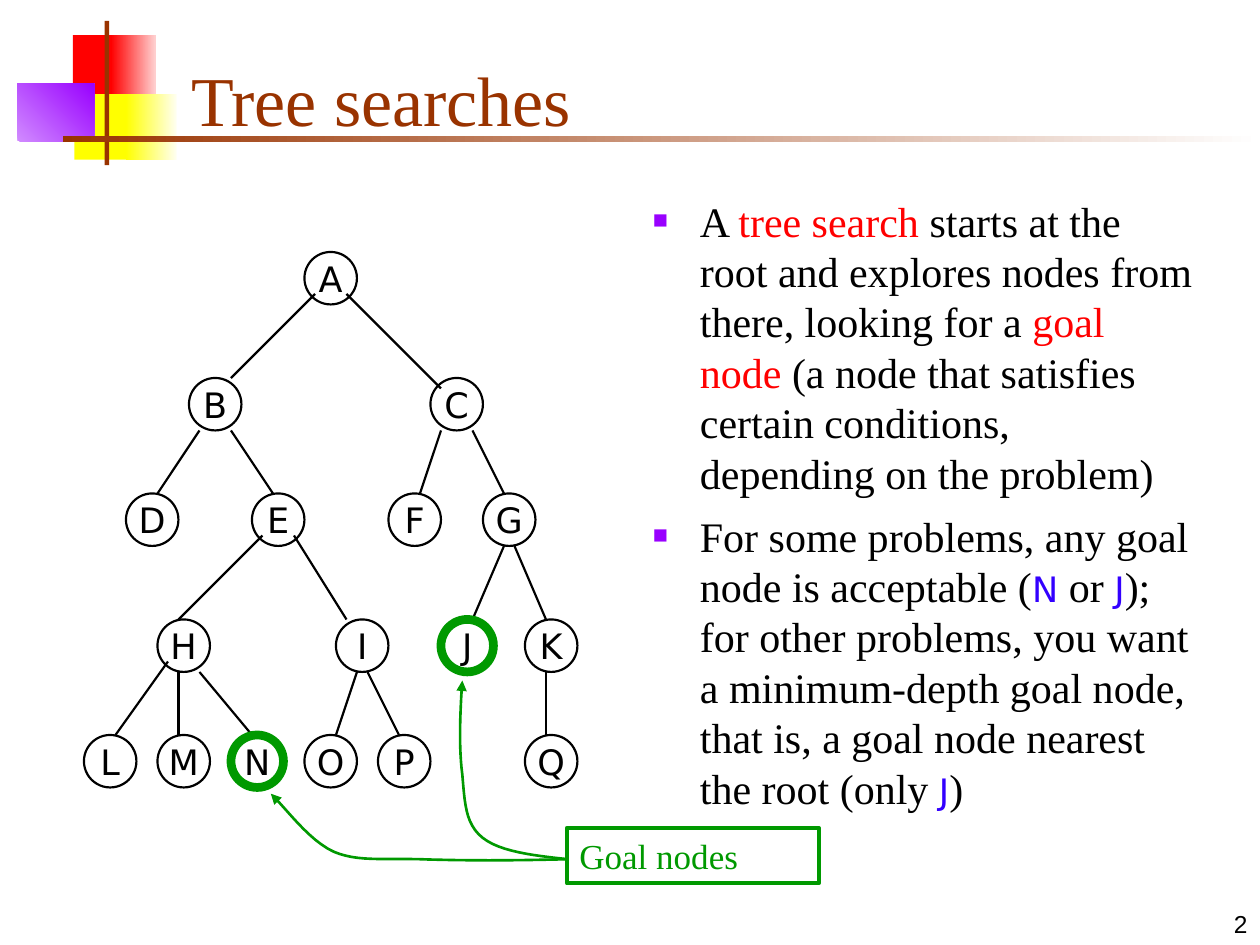
"""Build the slide on tree searches and their goal nodes."""
from typing import NamedTuple

from lxml.etree import SubElement
from pptx import Presentation
from pptx.dml.color import RGBColor
from pptx.enum.shapes import MSO_CONNECTOR as Link, MSO_SHAPE as Kind
from pptx.enum.text import MSO_ANCHOR as Anchor, MSO_AUTO_SIZE as Auto, PP_ALIGN as Align
from pptx.oxml.ns import qn
from pptx.util import Cm, Pt

SERIF, SANS = "Times New Roman", "DejaVu Sans"
BLACK, RED, GREEN, BLUE = "000000", "FF0000", "009900", "3300FF"
BROWN, PURPLE, YELLOW = "993300", "9900FF", "FFFF00"
GRID = 2.54 / 12
SIZE = 5


class Run(NamedTuple):
    text: str
    ink: str = BLACK
    size: float = 24
    font: str = SERIF


class Block(NamedTuple):
    box: tuple
    fill: str
    fade: str = ""
    turn: float = 0


class Row(NamedTuple):
    top: int
    nodes: dict


BLOCKS = [
    Block((1.47, 0.71, 0.9, 1.32), RED),
    Block((2.24, 0.71, 0.9, 1.32), RED, "FFD1D1"),
    Block((1.5, 1.9, 1.16, 1.32), YELLOW),
    Block((2.54, 1.9, 1.02, 1.32), YELLOW, "FFFFF0"),
    Block((0.35, 1.69, 1.55, 1.16), "D18BFF", PURPLE, 45),
    Block((2.11, 0.42, 0.09, 2.91), BROWN),
    Block((1.27, 2.74, 24.13, 0.13), BROWN, "FFFFFF"),
]
ROWS = [
    Row(24, {"A": 29}),
    Row(36, {"B": 18, "C": 41}),
    Row(47, {"D": 12, "E": 24, "F": 37, "G": 46}),
    Row(59, {"H": 15, "I": 32, "J": 42, "K": 50}),
    Row(70, {"L": 8, "M": 15, "N": 22, "O": 29, "P": 36, "Q": 50}),
]
EDGES = [
    (22, 36, 30, 28), (33, 28, 42, 37), (19, 41, 15, 47), (22, 41, 26, 47),
    (42, 41, 40, 47), (45, 41, 48, 47), (17, 59, 25, 51), (33, 59, 28, 51),
    (45, 59, 48, 52), (52, 59, 49, 52), (11, 70, 16, 63), (17, 70, 17, 64),
    (24, 70, 19, 64), (32, 70, 34, 64), (38, 70, 35, 64), (52, 70, 52, 64),
]
START = (11.43, 17.32)
CURVES = [
    [START, (10.41, 17.35), (9.25, 17.35), (8.46, 17.32), (7.67, 17.3),
     (7.21, 17.37), (6.73, 17.17), (6.22, 16.94), (5.74, 16.26), (5.46, 16)],
    [START, (10.77, 17.25), (10.08, 17.17), (9.73, 16.89), (9.37, 16.61),
     (9.37, 16.15), (9.32, 15.62), (9.25, 15.09), (9.27, 14.4), (9.32, 13.72)],
]
NOTES = [
    (3.81, 7.42, [
        Run("A "), Run("tree search", RED),
        Run(" starts at the root and explores nodes from there, looking for a "),
        Run("goal node", RED),
        Run(" (a node that satisfies certain conditions, depending on the problem)"),
    ]),
    (10.16, 8.26, [
        Run("For some problems, any goal node is acceptable ("),
        Run("N", BLUE, 20, SANS), Run(" or "), Run("J", BLUE, 20, SANS),
        Run("); for other problems, you want a minimum-depth goal node, "
            "that is, a goal node nearest the root (only "),
        Run("J", BLUE, 20, SANS), Run(")"),
    ]),
]


def tint(code: str) -> RGBColor:
    return RGBColor.from_string(code)


def put(shape, runs: list, align=Align.LEFT, anchor=Anchor.TOP,
        wrap: bool = True, bullet: bool = False) -> None:
    frame = shape.text_frame
    frame.auto_size = Auto.NONE
    frame.word_wrap, frame.vertical_anchor = wrap, anchor
    para = frame.paragraphs[0]
    para.alignment = align
    if bullet:
        para.line_spacing = Pt(28.8)
        props = para._p.get_or_add_pPr()
        props.set("marL", str(Cm(0.95)))
        props.set("indent", str(-Cm(0.95)))
        SubElement(SubElement(props, qn("a:buClr")), qn("a:srgbClr"), val=PURPLE)
        SubElement(props, qn("a:buSzPct"), val="60000")
        SubElement(props, qn("a:buFont"), typeface=SERIF)
        SubElement(props, qn("a:buChar"), char="■")
    for item in runs:
        run = para.add_run()
        run.text = item.text
        font = run.font
        font.size, font.name = Pt(item.size), item.font
        font.color.rgb = tint(item.ink)


def frame_box(shapes, kind, box: tuple, ink: str, width: float):
    shape = shapes.add_shape(kind, *map(Cm, box))
    style(shape, ink, width)
    return shape


def style(shape, ink: str, width: float) -> None:
    shape.shadow.inherit = False
    shape.fill.background()
    shape.line.color.rgb = tint(ink)
    shape.line.width = Pt(width)


def paint(shapes, block: Block) -> None:
    shape = shapes.add_shape(Kind.RECTANGLE, *map(Cm, block.box))
    shape.shadow.inherit = False
    shape.line.fill.background()
    if block.fade:
        shape.fill.gradient()
        shape.fill.gradient_angle = block.turn
        for stop, code in zip(shape.fill.gradient_stops, (block.fill, block.fade)):
            stop.color.rgb = tint(code)
    else:
        shape.fill.solid()
        shape.fill.fore_color.rgb = tint(block.fill)


def node(shapes, left: int, top: int, ink: str = BLACK, width: float = 1.25):
    box = [GRID * n for n in (left, top, SIZE, SIZE)]
    return frame_box(shapes, Kind.OVAL, box, ink, width)


def edge(shapes, ends: tuple) -> None:
    line = shapes.add_connector(Link.STRAIGHT, *(Cm(GRID * n) for n in ends))
    line.line.color.rgb = tint(BLACK)
    line.line.width = Pt(1.25)
    SubElement(line._element.spPr, qn("a:effectLst"))


def bend(a: tuple, b: tuple, c: tuple, d: tuple, steps: int = 12) -> list:
    dots = []
    for t in (n / steps for n in range(1, steps + 1)):
        u = 1 - t
        dots.append(tuple(
            Cm(u**3 * p + 3 * u * u * t * q + 3 * u * t * t * r + t**3 * s)
            for p, q, r, s in zip(a, b, c, d)))
    return dots


def arrow(shapes, knots: list) -> None:
    pen = shapes.build_freeform(*map(Cm, knots[0]))
    for n in range(0, len(knots) - 1, 3):
        pen.add_line_segments(bend(*knots[n:n + 4]), close=False)
    shape = pen.convert_to_shape()
    style(shape, GREEN, 1.5)
    SubElement(shape.line._get_or_add_ln(), qn("a:tailEnd"), type="triangle")


def main() -> None:
    deck = Presentation()
    deck.slide_width, deck.slide_height = Cm(25.4), Cm(19.05)
    shapes = deck.slides.add_slide(deck.slide_layouts[5]).shapes
    for block in BLOCKS:
        paint(shapes, block)
    title = shapes.title
    title.left, title.top, title.width, title.height = map(Cm, (3.6, 0.64, 21.44, 2.33))
    put(title, [Run("Tree searches", BROWN, 40)], anchor=Anchor.BOTTOM)
    for top, high, runs in NOTES:
        put(shapes.add_textbox(*map(Cm, (12.91, top, 11.43, high))), runs, bullet=True)
    page = shapes.add_textbox(*map(Cm, (20.11, 17.78, 5.29, 1.27)))
    put(page, [Run("2", BLACK, 14, "Arial")], align=Align.RIGHT, anchor=Anchor.BOTTOM)
    for row in ROWS:
        for name, left in row.nodes.items():
            put(node(shapes, left, row.top), [Run(name, BLACK, 20, SANS)],
                align=Align.CENTER, anchor=Anchor.MIDDLE, wrap=False)
    for ends in EDGES:
        edge(shapes, ends)
    label = frame_box(shapes, Kind.RECTANGLE, (11.43, 16.69, 5.08, 1.12), GREEN, 2.25)
    put(label, [Run("Goal nodes", GREEN, 20)])
    for knots in CURVES:
        arrow(shapes, knots)
    for row in ROWS:
        for goal in row.nodes.keys() & {"N", "J"}:
            node(shapes, row.nodes[goal], row.top, GREEN, 5)
    deck.save("out.pptx")


if __name__ == "__main__":
    main()
